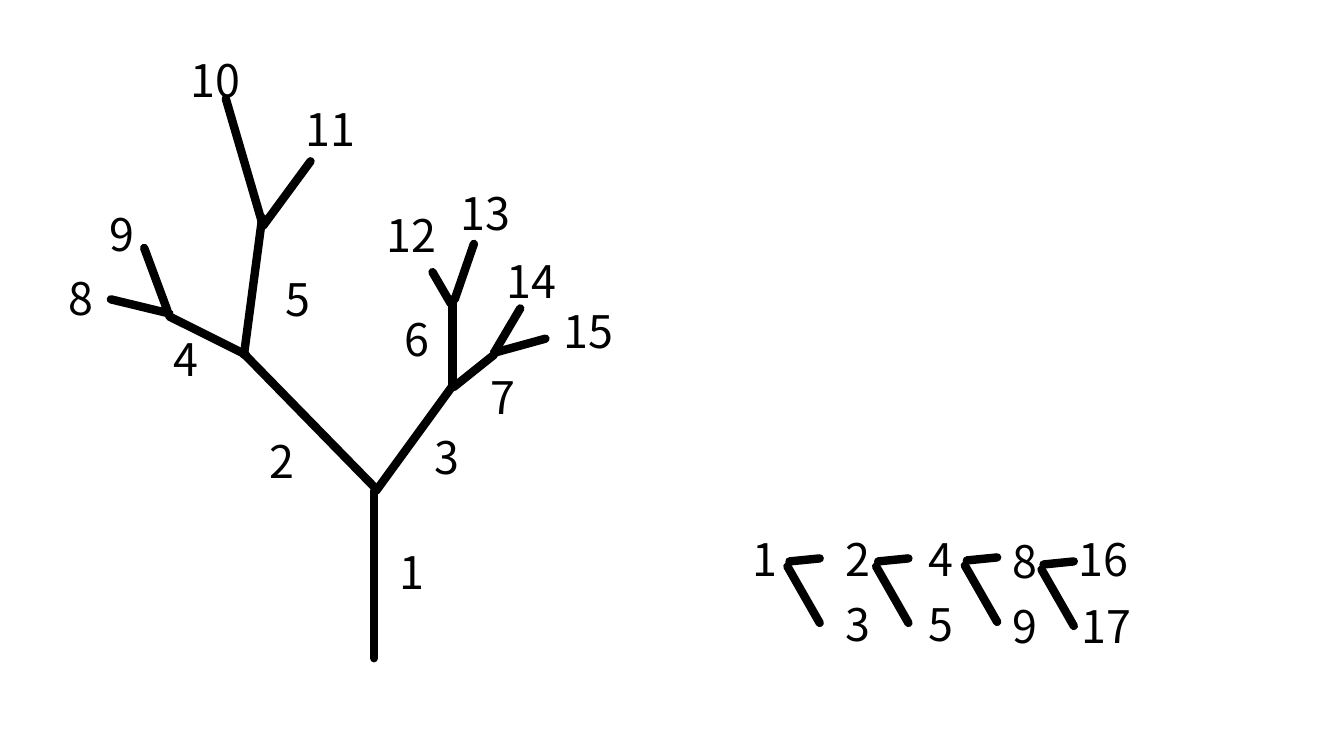
"""Draw a numbered branching tree beside a row of its leftmost forks."""
from lxml import etree
from pptx import Presentation
from pptx.dml.color import RGBColor
from pptx.enum.shapes import MSO_CONNECTOR
from pptx.enum.text import MSO_AUTO_SIZE, PP_ALIGN
from pptx.oxml.ns import qn
from pptx.util import Inches, Pt

STRAIGHT = MSO_CONNECTOR.STRAIGHT
GROW = MSO_AUTO_SIZE.SHAPE_TO_FIT_TEXT
CENTER = PP_ALIGN.CENTER

COLORS = {"ink": "000000"}
FONT = "Noto Sans CJK KR"
WIDTH, HEIGHT = 13.33, 7.5
COLUMNS, ROWS = 133.3, 75
LABEL_COLUMNS, LABEL_ROWS = 7.5, 6.4

# number: (branch start, branch end, label corner), in grid columns and rows
BRANCHES = {
    1: ((37.1, 65.3), (37.1, 48.7), (37.1, 53.6)),
    2: ((37.3, 48.5), (24.3, 35.2), (24.2, 42.5)),
    3: ((44.8, 38.4), (37.3, 48.7), (40.6, 42.1)),
    4: ((24.4, 35.2), (16.8, 31.4), (14.7, 32.4)),
    5: ((24.2, 35.2), (26, 21.6), (25.8, 26.5)),
    6: ((44.9, 29.7), (44.9, 38.4), (37.6, 30.4)),
    7: ((49, 35.2), (45, 38.4), (46.1, 36.2)),
    8: ((16.8, 31.1), (11, 29.7), (4.3, 26.4)),
    9: ((16.6, 30.8), (14.3, 24.6), (8.3, 20)),
    10: ((26, 22.1), (22.4, 9.8), (17.6, 4.7)),
    11: ((26.1, 22.4), (30.8, 16), (29, 9.6)),
    12: ((44.7, 30.1), (42.9, 27), (37.1, 20.1)),
    13: ((45.1, 29.7), (47, 24.2), (44.4, 17.9)),
    14: ((49, 35), (51.6, 30.6), (49, 24.7)),
    15: ((49, 35), (54.1, 33.6), (54.6, 29.6)),
}
FORK_LABELS = [
    (1, 72.1, 52.3),
    (2, 81.3, 52.3), (3, 81.3, 58.7),
    (4, 89.6, 52.3), (5, 89.6, 58.7),
    (8, 97.9, 52.5), (9, 97.9, 58.9),
    (16, 105.7, 52.3), (17, 106, 58.9),
]
FORK_CORNERS = [(78.1, 56.2), (86.9, 56.2), (95.7, 56.1), (103.3, 56.5)]
FORK_ARMS = [((0.2, -0.5), (3.2, -0.8)), ((3.2, 5.6), (0, 0))]

deck = Presentation()
deck.slide_width, deck.slide_height = Inches(WIDTH), Inches(HEIGHT)
slide = deck.slides.add_slide(deck.slide_layouts[6])


def place(column, row):
    return round(column / COLUMNS * deck.slide_width), round(row / ROWS * deck.slide_height)


def add_label(text, corner, size=32, color="ink", align=CENTER):
    label = slide.shapes.add_textbox(*place(*corner), *place(LABEL_COLUMNS, LABEL_ROWS))
    frame = label.text_frame
    frame.word_wrap = True
    frame.auto_size = GROW
    paragraph = frame.paragraphs[0]
    paragraph.alignment = align
    run = paragraph.add_run()
    run.text = text
    run.font.size = Pt(size)
    run.font.name = FONT
    run.font.color.rgb = RGBColor.from_string(COLORS[color])
    fonts = run.font._element
    for script in ("a:ea", "a:cs"):
        etree.SubElement(fonts, qn(script), typeface=FONT)


def add_branch(start, end, width=6, color="ink"):
    branch = slide.shapes.add_connector(STRAIGHT, *place(*start), *place(*end))
    branch.line.width = Pt(width)
    branch.line.color.rgb = RGBColor.from_string(COLORS[color])
    branch.line._get_or_add_ln().set("cap", "rnd")
    etree.SubElement(branch._element.spPr, qn("a:effectLst"))


for start, end, _ in BRANCHES.values():
    add_branch(start, end)
for number, (_, _, corner) in BRANCHES.items():
    add_label(str(number), corner)

for number, column, row in FORK_LABELS:
    add_label(str(number), (column, row))
for column, row in FORK_CORNERS:
    for arm in FORK_ARMS:
        add_branch(*((column + across, row + down) for across, down in arm))

deck.save("out.pptx")
